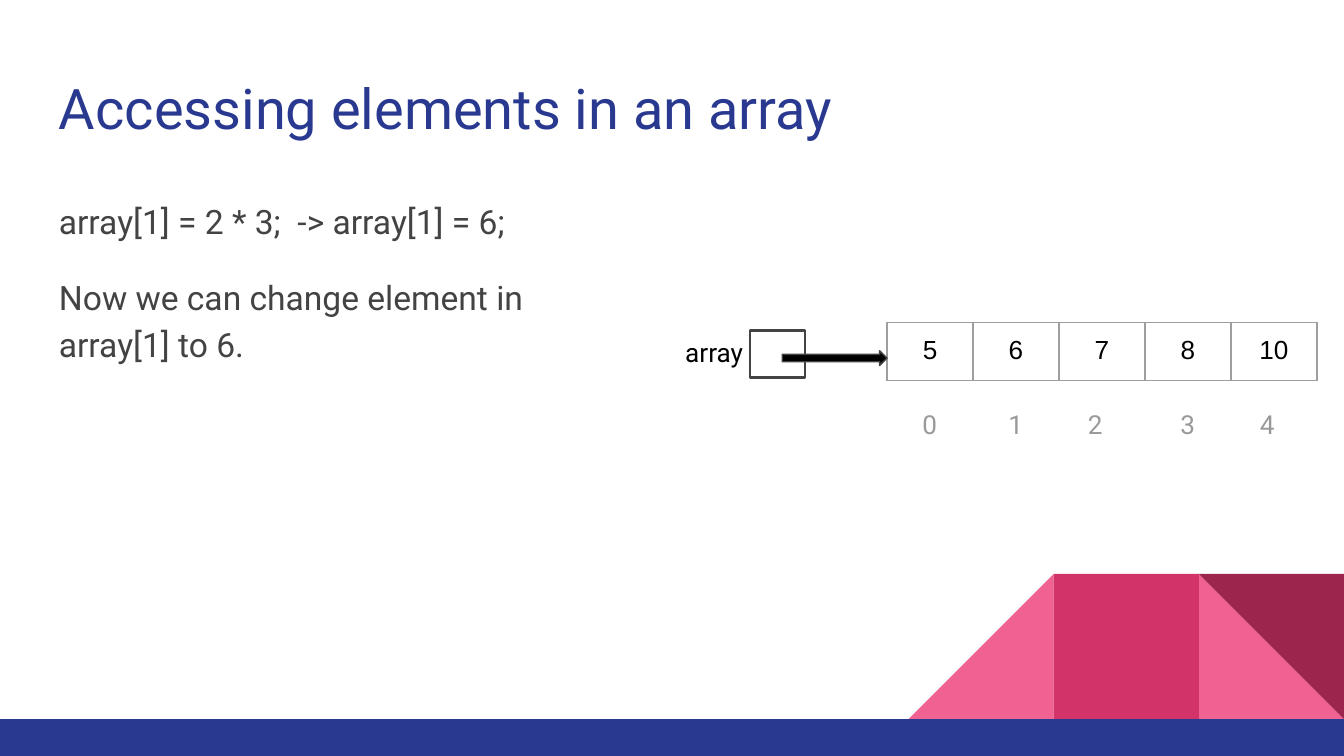
import pptx
import pptx.dml.color
import pptx.enum.shapes
import pptx.enum.text
import pptx.oxml.ns
import pptx.util
from lxml import etree

Inches = pptx.util.Inches
Pt = pptx.util.Pt
SHAPES = pptx.enum.shapes.MSO_SHAPE

COLORS = {
    "blue": "2A3990",
    "pink": "F06292",
    "rose": "D23369",
    "wine": "9C254D",
    "text": "434343",
    "black": "000000",
    "index": "999999",
    "border": "9E9E9E",
}
VALUES = ["5", "6", "7", "8", "10"]
INDEX_CENTERS = [0.24, 0.88, 1.47, 2.16, 2.75]
ARRAY_LEFT = 6.6
ARRAY_TOP = 2.4
CELL_WIDTH = 0.64
CELL_HEIGHT = 0.42
INSET = 0.1


def rgb(name):
    return pptx.dml.color.RGBColor.from_string(COLORS[name])


def add_child(parent, tag, **attributes):
    return etree.SubElement(parent, pptx.oxml.ns.qn(tag), attributes)


def format_text(paragraph, size, color, font="Roboto"):
    for run in paragraph.runs:
        run.font.size = Pt(size)
        run.font.name = font
        run.font.color.rgb = rgb(color)


def set_margins(target):
    for side in ("left", "right", "top", "bottom"):
        setattr(target, f"margin_{side}", Inches(INSET))


def add_text(slide, left, top, width, height, text, size, color):
    box = slide.shapes.add_textbox(
        Inches(left), Inches(top), Inches(width), Inches(height))
    text_frame = box.text_frame
    text_frame.word_wrap = True
    set_margins(text_frame)
    text_frame.text = text
    for paragraph in text_frame.paragraphs:
        format_text(paragraph, size, color)
    return text_frame


def add_shape(slide, kind, left, top, width, height,
              fill=None, line=None, line_width=0.75, rotation=0):
    shape = slide.shapes.add_shape(
        kind, Inches(left), Inches(top), Inches(width), Inches(height))
    shape.shadow.inherit = False
    shape.rotation = rotation
    if fill:
        shape.fill.solid()
        shape.fill.fore_color.rgb = rgb(fill)
    else:
        shape.fill.background()
    if line:
        shape.line.color.rgb = rgb(line)
        shape.line.width = Pt(line_width)
    else:
        shape.line.fill.background()


def add_decoration(slide):
    side = 1.08
    top = 4.27
    right = 10 - side
    triangle = SHAPES.RIGHT_TRIANGLE
    add_shape(slide, triangle, right, top, side, side, "pink")
    add_shape(slide, triangle, right - 2 * side, top, side, side, "pink",
              rotation=270)
    add_shape(slide, SHAPES.RECTANGLE, right - side, top, side, side, "rose")
    add_shape(slide, triangle, right, top, side, side, "wine", rotation=180)
    add_shape(slide, SHAPES.RECTANGLE, 0, top + side, 10, 0.28, "blue")


def add_borders(cell):
    properties = cell._tc.get_or_add_tcPr()
    for tag in ("a:lnL", "a:lnR", "a:lnT", "a:lnB"):
        line = add_child(properties, tag, w=str(Pt(0.75)))
        fill = add_child(line, "a:solidFill")
        add_child(fill, "a:srgbClr", val=COLORS["border"])


def add_array_table(slide):
    frame = slide.shapes.add_table(
        1, len(VALUES), Inches(ARRAY_LEFT), Inches(ARRAY_TOP),
        Inches(CELL_WIDTH * len(VALUES)), Inches(CELL_HEIGHT))
    table = frame.table
    table.first_row = False
    table.horz_banding = False
    for column, value in enumerate(VALUES):
        cell = table.cell(0, column)
        set_margins(cell)
        add_borders(cell)
        cell.fill.background()
        cell.text_frame.text = value
        paragraph = cell.text_frame.paragraphs[0]
        paragraph.alignment = pptx.enum.text.PP_ALIGN.CENTER
        format_text(paragraph, 14, "black", "Arial")


def add_indices(slide):
    text = "".join(f"\t{index}" for index in range(len(VALUES)))
    text_frame = add_text(slide, 6.58, 2.94, 3.28, 0.43, text, 14, "index")
    properties = text_frame.paragraphs[0]._p.get_or_add_pPr()
    tabs = add_child(properties, "a:tabLst")
    for center in INDEX_CENTERS:
        add_child(tabs, "a:tab", pos=str(Inches(center)), algn="ctr")


def add_body(slide):
    text = ("array[1] = 2 * 3;  -> array[1] = 6;\n"
            "Now we can change element in array[1] to 6.")
    text_frame = add_text(slide, 0.34, 1.35, 4.43, 3.61, text, 18, "text")
    for paragraph in text_frame.paragraphs:
        paragraph.line_spacing = 1.15
    text_frame.paragraphs[1].space_before = Pt(16)


def main():
    presentation = pptx.Presentation()
    presentation.slide_width = Inches(10)
    presentation.slide_height = Inches(10) * 9 // 16
    slide = presentation.slides.add_slide(presentation.slide_layouts[6])
    add_decoration(slide)
    add_text(slide, 0.34, 0.45, 9.32, 0.66,
             "Accessing elements in an array", 30, "blue")
    add_body(slide)
    add_array_table(slide)
    add_text(slide, 5, ARRAY_TOP, 1.56, 0.66, "array", 14, "black")
    add_shape(slide, SHAPES.RECTANGLE, 5.58, 2.46, 0.41, 0.35,
              line="text", line_width=1.5)
    add_shape(slide, SHAPES.RIGHT_ARROW, 5.82, 2.61, 0.78, 0.11,
              fill="black", line="text")
    add_indices(slide)
    presentation.save("out.pptx")


if __name__ == "__main__":
    main()
